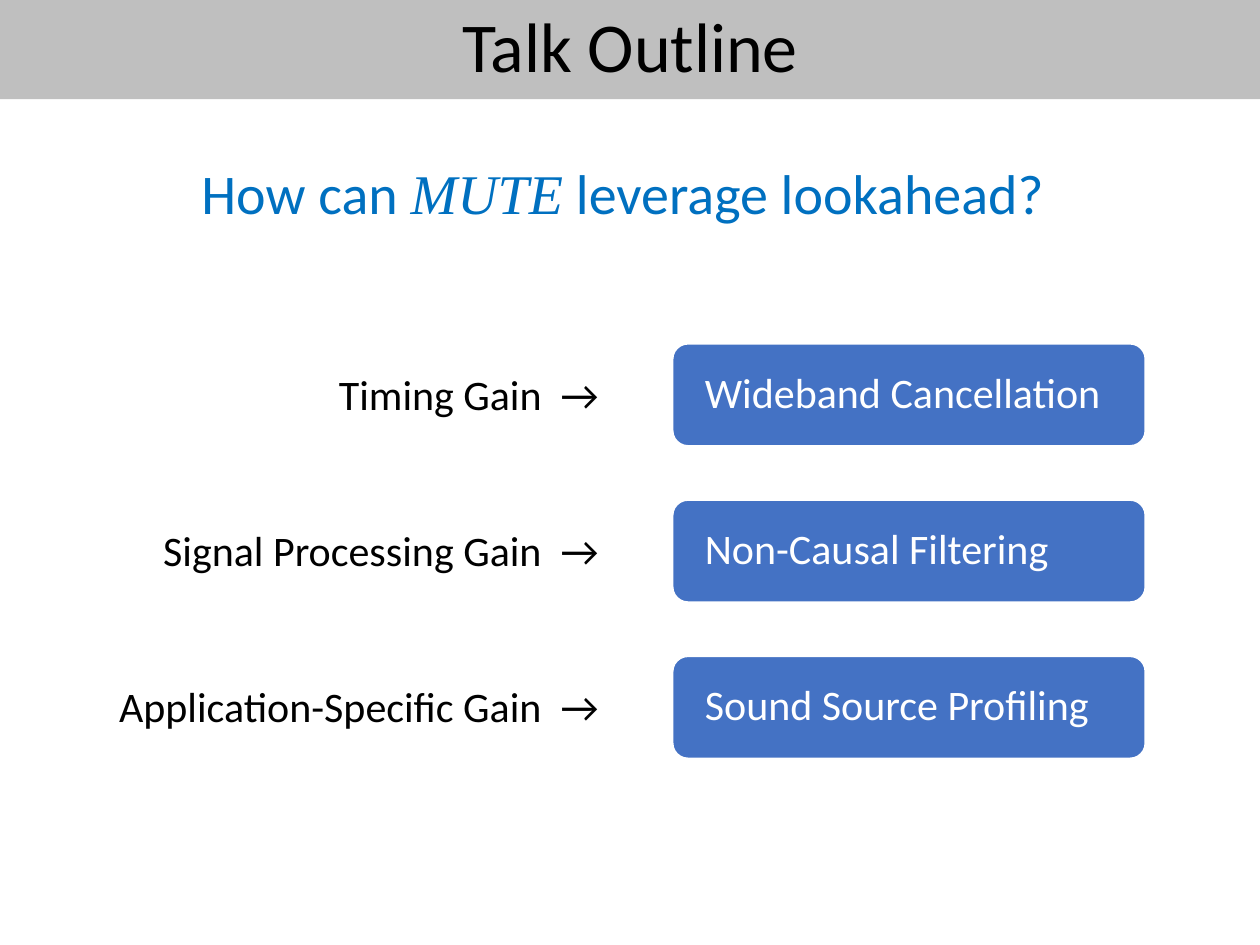
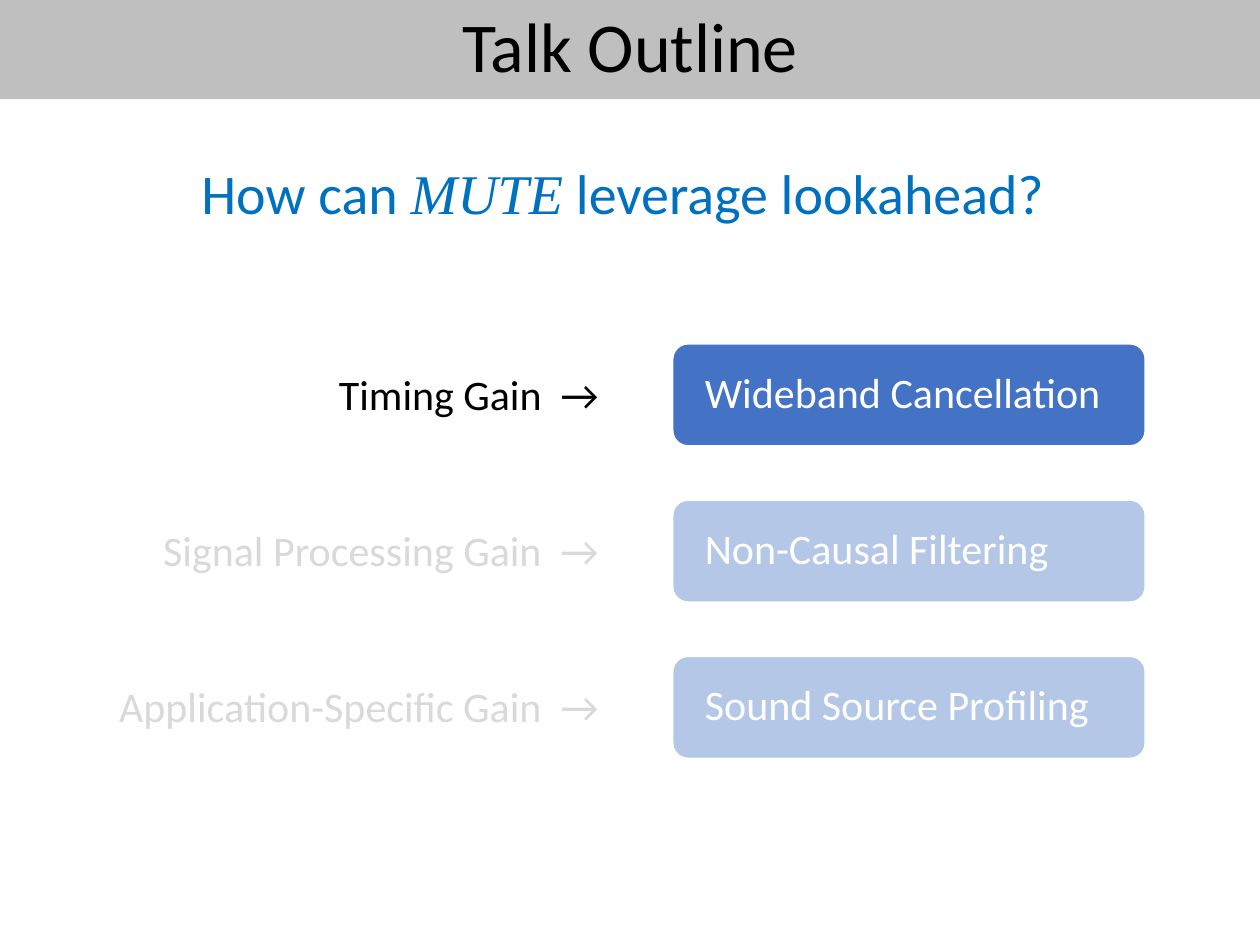
"""Build the two talk outline slides, the second with only the first topic highlighted."""
from pptx import Presentation
from pptx.dml.color import RGBColor
from pptx.enum.shapes import MSO_SHAPE
from pptx.enum.text import MSO_ANCHOR, MSO_AUTO_SIZE, PP_ALIGN
from pptx.util import Cm, Pt

RECTANGLE, ROUNDED = MSO_SHAPE.RECTANGLE, MSO_SHAPE.ROUNDED_RECTANGLE
LEFT, CENTER, RIGHT = PP_ALIGN.LEFT, PP_ALIGN.CENTER, PP_ALIGN.RIGHT
MIDDLE = MSO_ANCHOR.MIDDLE
GROW = MSO_AUTO_SIZE.SHAPE_TO_FIT_TEXT

TITLE = "Talk Outline"
QUESTION = [
    ("How can ", "Calibri", False),
    ("MUTE", "Times New Roman", True),
    (" leverage lookahead?", "Calibri", False),
]
TOPICS = [
    ("Timing Gain", "Wideband Cancellation"),
    ("Signal Processing Gain", "Non-Causal Filtering"),
    ("Application-Specific Gain", "Sound Source Profiling"),
]
HIGHLIGHTED_TOPICS = [{0, 1, 2}, {0}]

COLORS = {
    "band": "BFBFBF",
    "title": "000000",
    "question": "0070C0",
    "label": "000000",
    "label_faded": "D9D9D9",
    "topic": "4472C4",
    "topic_faded": "B4C7E7",
    "white": "FFFFFF",
}

SLIDE_WIDTH, SLIDE_HEIGHT = Cm(25.4), Cm(19.05)
BAND_HEIGHT = Cm(2)
TOPIC_LEFT, TOPIC_TOP = Cm(13.56), Cm(6.93)
TOPIC_WIDTH, TOPIC_HEIGHT = Cm(9.53), Cm(2.06)
TOPIC_PITCH = Cm(3.15)
LABEL_LEFT, LABEL_WIDTH, LABEL_HEIGHT = Cm(1.37), Cm(10.95), Cm(1.32)
ARROW_GAP_POINTS = 5.4


def color(name):
    return RGBColor.from_string(COLORS[name])


def add_run(paragraph, text, size, color_name, font_name="Calibri", italic=False):
    run = paragraph.add_run()
    run.text = text
    run.font.size = Pt(size)
    run.font.name = font_name
    run.font.italic = italic
    run.font.color.rgb = color(color_name)
    return run


def add_filled_shape(slide, kind, box, fill, text, size, text_color, alignment):
    shape = slide.shapes.add_shape(kind, *box)
    shape.shadow.inherit = False
    shape.fill.solid()
    shape.fill.fore_color.rgb = color(fill)
    shape.line.fill.background()
    shape.text_frame.vertical_anchor = MIDDLE
    shape.text_frame.word_wrap = True
    paragraph = shape.text_frame.paragraphs[0]
    paragraph.alignment = alignment
    paragraph.line_spacing = 0.9
    add_run(paragraph, text, size, text_color)
    return shape


def add_header(slide):
    add_filled_shape(slide, RECTANGLE, (0, 0, SLIDE_WIDTH, BAND_HEIGHT),
                     "band", TITLE, 40, "title", CENTER)
    question = slide.shapes.add_textbox(Cm(3.81), Cm(3.07), Cm(17.75), Cm(1.63))
    question.text_frame.word_wrap = False
    question.text_frame.auto_size = GROW
    for text, font_name, italic in QUESTION:
        add_run(question.text_frame.paragraphs[0], text, 32, "question", font_name, italic)


def add_topic(slide, top, text, suffix):
    box = (TOPIC_LEFT, top, TOPIC_WIDTH, TOPIC_HEIGHT)
    topic = add_filled_shape(slide, ROUNDED, box, "topic" + suffix, text, 24, "white", LEFT)
    topic.adjustments[0] = 0.15
    topic.line.color.rgb = color("white")
    topic.line.width = Pt(1)
    frame = topic.text_frame
    frame.margin_left = frame.margin_right = Cm(0.56)
    frame.margin_top = frame.margin_bottom = Cm(0.1)


def add_label(slide, topic_top, text, suffix):
    top = topic_top + (TOPIC_HEIGHT - LABEL_HEIGHT) // 2
    label = slide.shapes.add_textbox(LABEL_LEFT, top, LABEL_WIDTH, LABEL_HEIGHT)
    label.text_frame.word_wrap = True
    label.text_frame.auto_size = GROW
    paragraph = label.text_frame.paragraphs[0]
    paragraph.alignment = RIGHT
    add_run(paragraph, text, 24, "label" + suffix)
    gap = add_run(paragraph, " ", 24, "label" + suffix)
    gap._r.get_or_add_rPr().set("spc", str(round(ARROW_GAP_POINTS * 100)))
    add_run(paragraph, "→", 24, "label" + suffix)


def main():
    presentation = Presentation()
    presentation.slide_width, presentation.slide_height = SLIDE_WIDTH, SLIDE_HEIGHT
    for highlighted in HIGHLIGHTED_TOPICS:
        slide = presentation.slides.add_slide(presentation.slide_layouts[6])
        add_header(slide)
        for index, (gain, technique) in enumerate(TOPICS):
            top = TOPIC_TOP + index * TOPIC_PITCH
            suffix = "" if index in highlighted else "_faded"
            add_topic(slide, top, technique, suffix)
            add_label(slide, top, gain, suffix)
    presentation.save("out.pptx")


if __name__ == "__main__":
    main()
